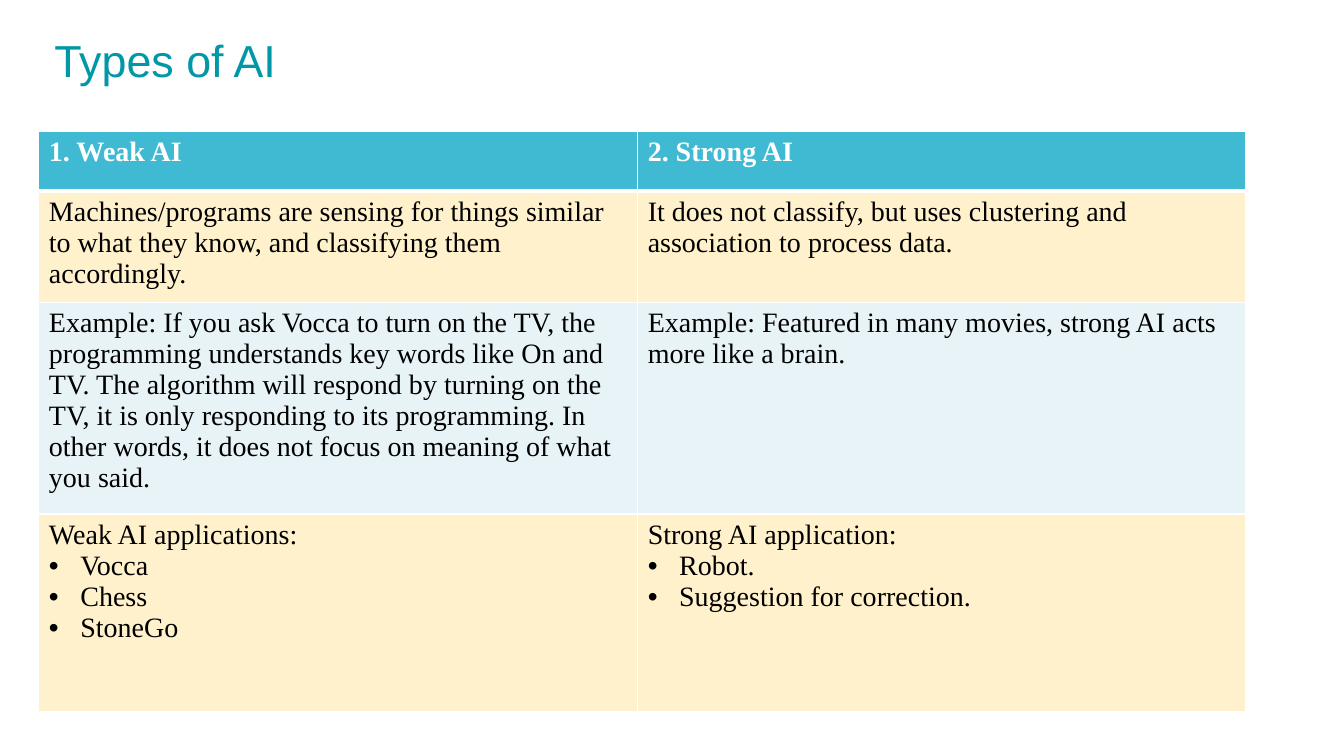
from lxml import etree
from pptx import Presentation
from pptx.dml.color import RGBColor
from pptx.enum.text import MSO_ANCHOR
from pptx.oxml.ns import qn
from pptx.util import Cm, Pt

# Content: header row first; lines starting with the bullet sign are list items
TITLE = "Types of AI"
BULLET = "•"
ROWS = [
    (["1. Weak AI"], ["2. Strong AI"]),
    (["Machines/programs are sensing for things similar to what they know, "
      "and classifying them accordingly."],
     ["It does not classify, but uses clustering and association to process data."]),
    (["Example: If you ask Vocca to turn on the TV, the programming understands "
      "key words like On and TV. The algorithm will respond by turning on the TV, "
      "it is only responding to its programming. In other words, it does not focus "
      "on meaning of what you said."],
     ["Example: Featured in many movies, strong AI acts more like a brain."]),
    (["Weak AI applications:", "•Vocca", "•Chess", "•StoneGo"],
     ["Strong AI application:", "•Robot.", "•Suggestion for correction."]),
]

# Layout and style
COLUMN_WIDTHS = [Cm(15.09), Cm(15.32)]
ROW_HEIGHTS = [Cm(1.5), Cm(2.62), Cm(5.18), Cm(4.98)]
BULLET_INDENT = Cm(0.79)
COLORS = {
    "title": "0097A7",
    "header": "40BAD2",
    "odd": "FFF1CB",
    "even": "E8F3F7",
    "white": "FFFFFF",
    "text": "000000",
}


def add_run(paragraph, text, font_name, size, color, bold=False):
    run = paragraph.add_run()
    run.text = text
    run.font.name = font_name
    run.font.size = Pt(size)
    run.font.bold = bold
    run.font.color.rgb = RGBColor.from_string(COLORS[color])


def add_bullet(paragraph):
    properties = paragraph._p.get_or_add_pPr()
    properties.set("marL", str(BULLET_INDENT))
    properties.set("indent", str(-BULLET_INDENT))
    font = etree.SubElement(properties, qn("a:buFont"))
    font.set("typeface", "Arial")
    etree.SubElement(properties, qn("a:buChar")).set("char", BULLET)


def set_borders(cell, widths):
    properties = cell._tc.get_or_add_tcPr()
    for index, (side, width) in enumerate(widths.items()):
        line = etree.Element(qn(f"a:ln{side}"), w=str(Pt(width)))
        fill = etree.SubElement(line, qn("a:solidFill"))
        etree.SubElement(fill, qn("a:srgbClr")).set("val", COLORS["white"])
        properties.insert(index, line)


def fill_cell(cell, lines, row_index):
    is_header = row_index == 0
    fill_name = "header" if is_header else "odd" if row_index % 2 else "even"
    cell.fill.solid()
    cell.fill.fore_color.rgb = RGBColor.from_string(COLORS[fill_name])
    set_borders(cell, {"L": 1, "R": 1,
                       "T": 3 if row_index == 1 else 1,
                       "B": 3 if is_header else 1})
    frame = cell.text_frame
    for index, line in enumerate(lines):
        paragraph = frame.add_paragraph() if index else frame.paragraphs[0]
        if line.startswith(BULLET):
            add_bullet(paragraph)
        add_run(paragraph, line.removeprefix(BULLET), "Times New Roman", 20,
                "white" if is_header else "text", is_header)


def add_title(slide):
    box = slide.shapes.add_textbox(Cm(1.37), Cm(0.79), Cm(23.67), Cm(1.6))
    frame = box.text_frame
    frame.word_wrap = True
    frame.vertical_anchor = MSO_ANCHOR.MIDDLE
    frame.margin_left = frame.margin_right = 0
    frame.margin_top = frame.margin_bottom = 0
    paragraph = frame.paragraphs[0]
    paragraph.line_spacing = 0.9
    add_run(paragraph, TITLE, "Arial", 32, "title")


def add_comparison(slide):
    table = slide.shapes.add_table(
        len(ROWS), len(COLUMN_WIDTHS), Cm(0.98), Cm(3.32),
        sum(COLUMN_WIDTHS), sum(ROW_HEIGHTS)).table
    for column, width in zip(table.columns, COLUMN_WIDTHS):
        column.width = width
    for row_index, (row, height) in enumerate(zip(table.rows, ROW_HEIGHTS)):
        row.height = height
        for cell, lines in zip(row.cells, ROWS[row_index]):
            fill_cell(cell, lines, row_index)


def main():
    presentation = Presentation()
    presentation.slide_width = Cm(33.87)
    presentation.slide_height = Cm(19.05)
    slide = presentation.slides.add_slide(presentation.slide_layouts[6])
    add_title(slide)
    add_comparison(slide)
    presentation.save("out.pptx")


if __name__ == "__main__":
    main()
